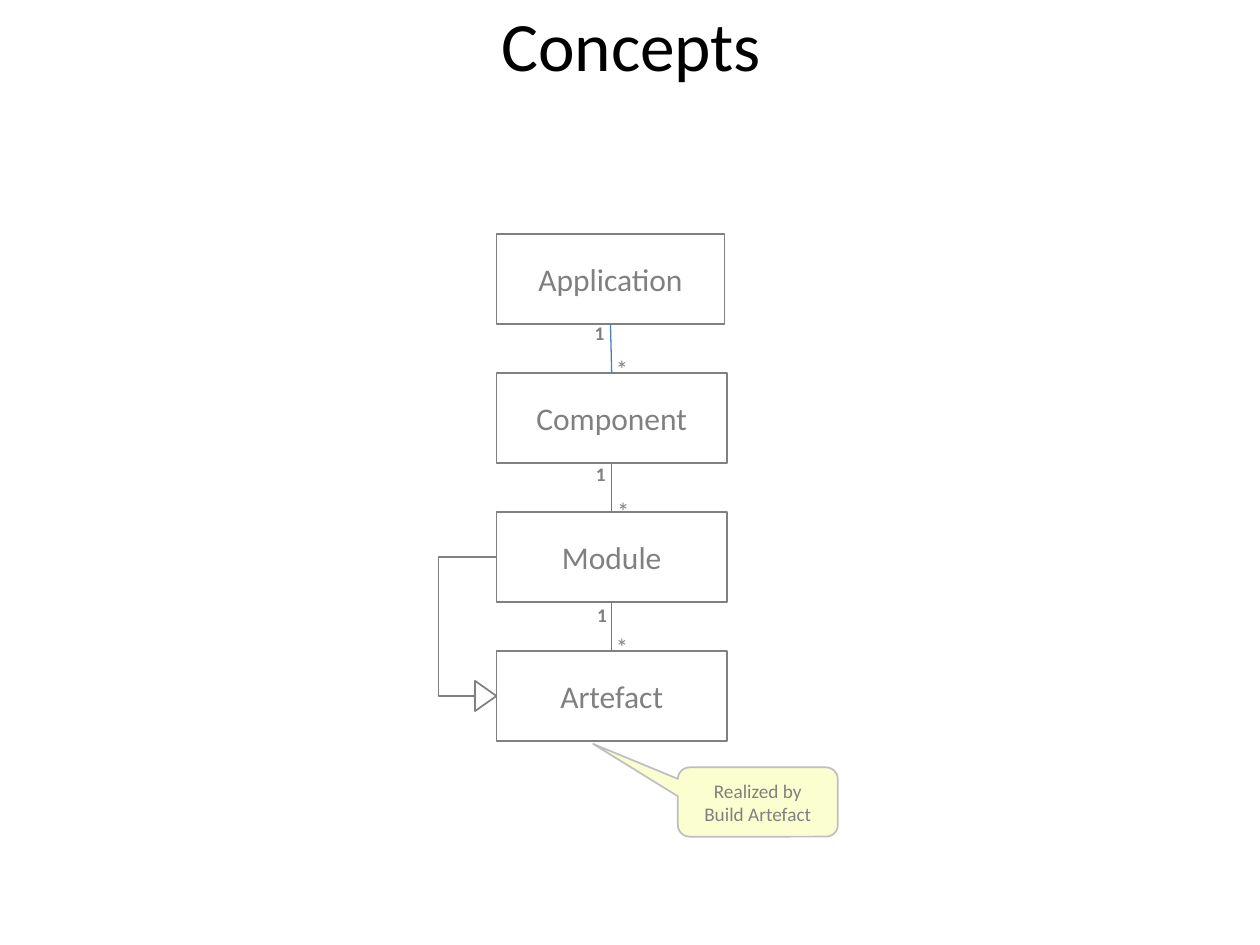
import pptx
import pptx.util
import pptx.dml.color
import pptx.enum.shapes
import pptx.enum.text
import pptx.oxml.ns
from lxml import etree

Inches = pptx.util.Inches
Pt = pptx.util.Pt
SHAPES = pptx.enum.shapes.MSO_SHAPE
LINES = pptx.enum.shapes.MSO_CONNECTOR
ALIGN = pptx.enum.text.PP_ALIGN
ANCHOR = pptx.enum.text.MSO_ANCHOR

COLOURS = {"black": "000000", "white": "FFFFFF", "grey": "808080",
           "blue": "4B7EBC", "yellow": "F6FF85", "silver": "BFBFBF"}
TITLE = "Concepts"
CONCEPTS = [("Application", 1.81), ("Component", 1.83),
            ("Module", 1.83), ("Artefact", 1.83)]
LABELS = [("1", 11, True, 0.28, 0.29, [(4.62, 2.5), (4.63, 3.62), (4.64, 4.74)]),
          ("*", 14, False, 0.3, 0.34, [(4.79, 2.76), (4.8, 3.89), (4.79, 4.97)])]
NOTE = "Realized by Build Artefact"
LEFT, TOP, HEIGHT, PITCH = 3.94, 1.86, 0.71, 1.103
LOOP_LEFT, ARROW_WIDTH, ARROW_LENGTH = 3.48, 0.24, 0.17


def colour(name):
    """Return the named colour."""
    return pptx.dml.color.RGBColor.from_string(COLOURS[name])


def write(box, text, size, tint="grey", bold=False, align=ALIGN.CENTER,
          anchor=ANCHOR.MIDDLE, wrap=True):
    """Write formatted text into a shape."""
    frame = box.text_frame
    frame.word_wrap = wrap
    frame.vertical_anchor = anchor
    para = frame.paragraphs[0]
    para.alignment = align
    span = para.add_run()
    span.text = text
    span.font.name = "Calibri"
    span.font.size = Pt(size)
    span.font.bold = bold
    span.font.color.rgb = colour(tint)


def add_box(page, kind, place, fill=None, line="grey"):
    """Add an outlined preset shape."""
    box = page.shapes.add_shape(kind, *map(Inches, place))
    box.shadow.inherit = False
    if fill:
        box.fill.solid()
        box.fill.fore_color.rgb = colour(fill)
    else:
        box.fill.background()
    box.line.color.rgb = colour(line)
    box.line.width = Pt(1)
    return box


def add_line(page, kind, start, end, tint, width):
    """Add a connector without a shadow."""
    line = page.shapes.add_connector(kind, *map(Inches, start + end))
    line.line.color.rgb = colour(tint)
    line.line.width = Pt(width)
    etree.SubElement(line._element.spPr, pptx.oxml.ns.qn("a:effectLst"))
    return line


def add_loop(page, start_y, end_y):
    """Add the inheritance arrow from Module to Artefact."""
    arrow = (LEFT - (ARROW_LENGTH + ARROW_WIDTH) / 2,
             end_y - ARROW_LENGTH / 2, ARROW_WIDTH, ARROW_LENGTH)
    add_box(page, SHAPES.ISOSCELES_TRIANGLE, arrow).rotation = 90
    loop = add_line(page, LINES.ELBOW, (LEFT, start_y),
                    (LEFT - ARROW_LENGTH, end_y), "grey", 1)
    bend = round((LEFT - LOOP_LEFT) / ARROW_LENGTH * 100000)
    geometry = loop._element.spPr.find(pptx.oxml.ns.qn("a:prstGeom"))
    values = geometry.find(pptx.oxml.ns.qn("a:avLst"))
    if values is None:
        values = etree.SubElement(geometry, pptx.oxml.ns.qn("a:avLst"))
    etree.SubElement(values, pptx.oxml.ns.qn("a:gd"), name="adj1", fmla=f"val {bend}")


def add_note(page):
    """Add the translucent callout."""
    note = add_box(page, SHAPES.ROUNDED_RECTANGULAR_CALLOUT,
                   (5.38, 6.09, 1.27, 0.55), "yellow", "silver")
    for index, value in enumerate((-1.03, -0.84, 0.17)):
        note.adjustments[index] = value
    tint = note._element.spPr.find(".//" + pptx.oxml.ns.qn("a:srgbClr"))
    etree.SubElement(tint, pptx.oxml.ns.qn("a:alpha"), val="39000")
    write(note, NOTE, 11)


def main():
    """Build the concepts slide."""
    deck = pptx.Presentation()
    deck.slide_width, deck.slide_height = Inches(10), Inches(7.5)
    page = deck.slides.add_slide(deck.slide_layouts[5])
    title = page.shapes.title
    title.left, title.top, title.width, title.height = map(Inches, (0.51, 0, 9, 0.69))
    write(title, TITLE, 39.6, tint="black")

    tops = [TOP + PITCH * row for row in range(len(CONCEPTS))]
    for (name, width), top in zip(CONCEPTS, tops):
        box = add_box(page, SHAPES.RECTANGLE, (LEFT, top, width, HEIGHT), "white")
        write(box, name, 18)

    centres = [LEFT + width / 2 for name, width in CONCEPTS]
    for row in range(len(CONCEPTS) - 1):
        add_line(page, LINES.STRAIGHT, (centres[row], tops[row] + HEIGHT),
                 (centres[row + 1], tops[row + 1]), "blue", 0.75)

    for text, size, bold, width, height, places in LABELS:
        for place in places:
            label = page.shapes.add_textbox(*map(Inches, place + (width, height)))
            write(label, text, size, bold=bold, align=ALIGN.LEFT,
                  anchor=ANCHOR.TOP, wrap=False)
            label.text_frame.auto_size = pptx.enum.text.MSO_AUTO_SIZE.SHAPE_TO_FIT_TEXT

    add_loop(page, tops[2] + HEIGHT / 2, tops[3] + HEIGHT / 2)
    add_note(page)
    deck.save("out.pptx")


if __name__ == "__main__":
    main()
